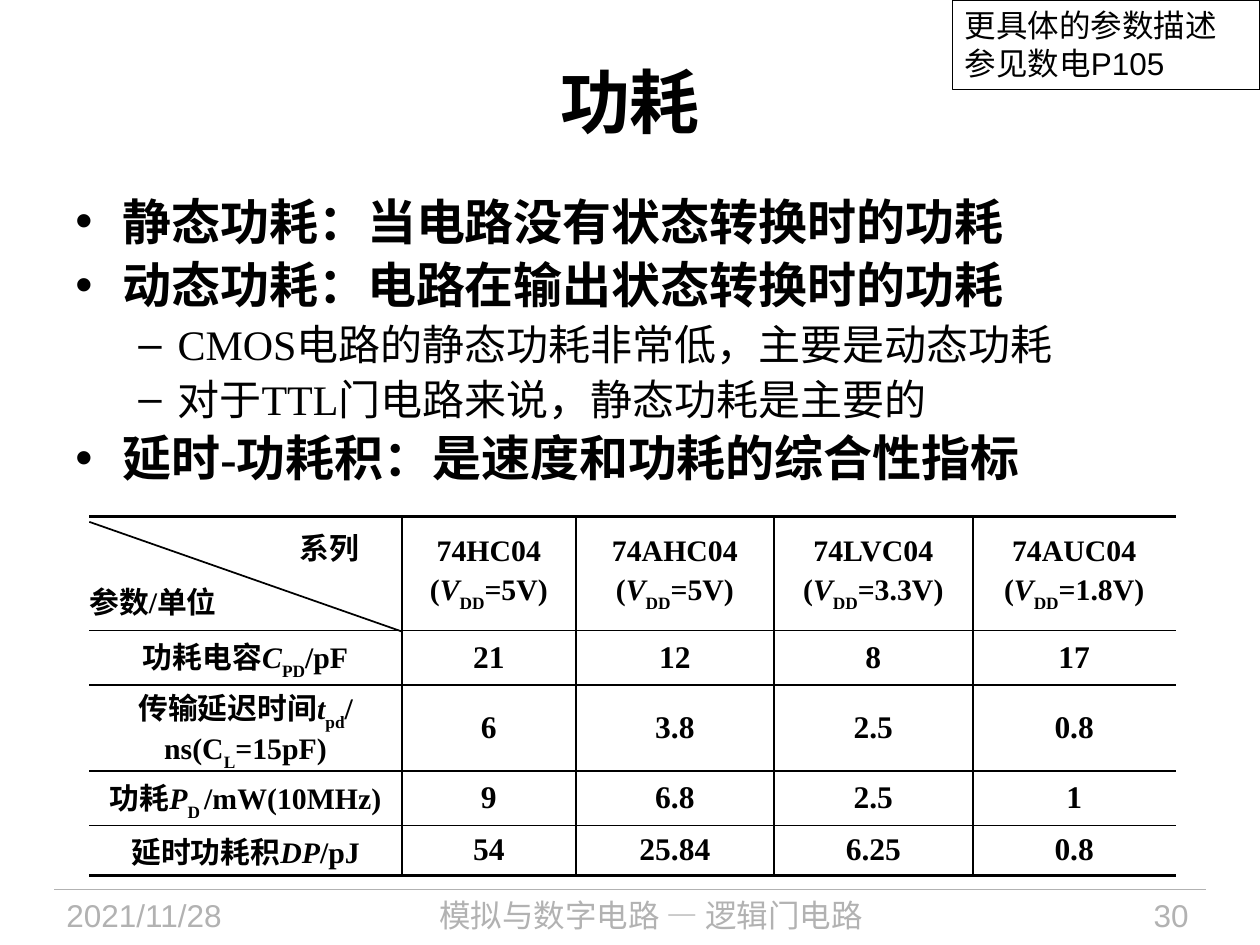
from lxml.etree import SubElement
from pptx import Presentation
from pptx.dml.color import RGBColor
from pptx.enum.shapes import MSO_CONNECTOR as Connector, MSO_SHAPE as Shape
from pptx.enum.text import MSO_ANCHOR as Anchor, PP_ALIGN as Align
from pptx.oxml.ns import qn
from pptx.util import Cm, Pt

SERIF = "Times New Roman"
SANS = "Arial"
BLACK = "000000"
GREY = "B2B2B2"
BULLETS = [("•", 0.95, -0.95, 28, True), ("–", 2.06, -0.79, 24, False)]


def color(value):
    return RGBColor.from_string(value)


def add_text(paragraph, text, size=18, font=SERIF, fill=BLACK, bold=False,
             italic=False, baseline=0):
    run = paragraph.add_run()
    run.text = text
    run.font.size = Pt(size)
    run.font.name = font
    run.font.bold = bold
    run.font.italic = italic
    run.font.color.rgb = color(fill)
    if baseline:
        run._r.get_or_add_rPr().set("baseline", str(baseline * 1000))


def symbol(letter, subscript):
    return [(letter, {"italic": True}), (subscript, {"baseline": -30})]


class SlideBuilder:
    def __init__(self, presentation):
        self.slide = presentation.slides.add_slide(presentation.slide_layouts[5])

    def title(self, text, left, top, width, height):
        shape = self.slide.shapes.title
        shape.left, shape.top = Cm(left), Cm(top)
        shape.width, shape.height = Cm(width), Cm(height)
        shape.text_frame.vertical_anchor = Anchor.MIDDLE
        paragraph = shape.text_frame.paragraphs[0]
        paragraph.alignment = Align.CENTER
        add_text(paragraph, text, size=40, bold=True)

    def text_box(self, left, top, width, height):
        shape = self.slide.shapes.add_textbox(Cm(left), Cm(top), Cm(width), Cm(height))
        shape.text_frame.word_wrap = True
        return shape.text_frame

    def label(self, text, left, top, width, height, align):
        paragraph = self.text_box(left, top, width, height).paragraphs[0]
        paragraph.alignment = align
        add_text(paragraph, text, font=SANS, fill=GREY)

    def bullets(self, items, left, top, width, height):
        frame = self.text_box(left, top, width, height)
        for index, (level, text) in enumerate(items):
            paragraph = frame.add_paragraph() if index else frame.paragraphs[0]
            mark, margin, indent, size, bold = BULLETS[level]
            paragraph.level = level
            paragraph.space_after = Pt(size / 10)
            properties = paragraph._p.get_or_add_pPr()
            properties.set("marL", str(Cm(margin)))
            properties.set("indent", str(Cm(indent)))
            SubElement(properties, qn("a:buFont"), typeface=SANS)
            SubElement(properties, qn("a:buChar"), char=mark)
            add_text(paragraph, text, size=size, bold=bold)

    def line(self, start, end, stroke, width):
        points = [Cm(value) for value in (*start, *end)]
        connector = self.slide.shapes.add_connector(Connector.STRAIGHT, *points)
        connector.line.color.rgb = color(stroke)
        connector.line.width = Pt(width)
        SubElement(connector._element.spPr, qn("a:effectLst"))

    def note(self, text, left, top, width, height):
        shape = self.slide.shapes.add_shape(
            Shape.RECTANGLE, Cm(left), Cm(top), Cm(width), Cm(height))
        shape.shadow.inherit = False
        shape.fill.background()
        shape.line.color.rgb = color(BLACK)
        shape.line.width = Pt(0.75)
        frame = shape.text_frame
        frame.word_wrap = True
        frame.vertical_anchor = Anchor.TOP
        frame.paragraphs[0].alignment = Align.LEFT
        add_text(frame.paragraphs[0], text, font=SANS)

    def borders(self, cell, widths):
        properties = cell._tc.get_or_add_tcPr()
        for side, width in zip("LRTB", widths):
            border = SubElement(properties, qn("a:ln" + side), w=str(Pt(width)))
            if width:
                fill = SubElement(border, qn("a:solidFill"))
                SubElement(fill, qn("a:srgbClr"), val=BLACK)
            else:
                SubElement(border, qn("a:noFill"))

    def cell_text(self, cell, lines, size):
        for index, runs in enumerate(lines):
            frame = cell.text_frame
            paragraph = frame.add_paragraph() if index else frame.paragraphs[0]
            paragraph.alignment = Align.CENTER
            paragraph.space_after = Pt(size / 5)
            for text, style in runs:
                add_text(paragraph, text, size=size, bold=True, **style)

    def table(self, rows, left, top, widths, heights):
        table = self.slide.shapes.add_table(
            len(heights), len(widths), Cm(left), Cm(top),
            Cm(sum(widths)), Cm(sum(heights))).table
        table.first_row = table.horz_banding = False
        for column, width in zip(table.columns, widths):
            column.width = Cm(width)
        for row, height in zip(table.rows, heights):
            row.height = Cm(height)
        last_row, last_column = len(heights) - 1, len(widths) - 1
        for row, values in enumerate(rows):
            for column, lines in enumerate(values):
                cell = table.cell(row, column)
                cell.margin_left = cell.margin_right = 0
                cell.margin_top = cell.margin_bottom = 0
                cell.vertical_anchor = Anchor.MIDDLE
                self.borders(cell, (int(column > 0), int(column < last_column),
                                    1 if row else 2, 2 if row == last_row else 1))
                cell.fill.background()
                self.cell_text(cell, lines, 18 if row and column else 17)
        return table


def plain(text):
    return [(text, {})]


def table_rows():
    series = [("74HC04", "5"), ("74AHC04", "5"), ("74LVC04", "3.3"), ("74AUC04", "1.8")]
    header = [[plain("系列"), plain("参数/单位")]]
    for name, voltage in series:
        supply = plain("(") + symbol("V", "DD") + plain(f"={voltage}V)")
        header.append([plain(name), supply])
    parameters = [
        (plain("功耗电容") + symbol("C", "PD") + plain("/pF"), "21 12 8 17"),
        (plain("传输延迟时间") + symbol("t", "pd") + plain("/ns(C")
         + [("L", {"baseline": -30})] + plain("=15pF)"), "6 3.8 2.5 0.8"),
        (plain("功耗") + symbol("P", "D ") + plain("/mW(10MHz)"), "9 6.8 2.5 1"),
        (plain("延时功耗积") + [("DP", {"italic": True})] + plain("/pJ"),
         "54 25.84 6.25 0.8"),
    ]
    return [header] + [[[name]] + [[plain(value)] for value in values.split()]
                       for name, values in parameters]


def main():
    presentation = Presentation()
    presentation.slide_width, presentation.slide_height = Cm(25.4), Cm(19.05)
    builder = SlideBuilder(presentation)
    builder.line((1.09, 17.93), (24.31, 17.93), GREY, 0.75)
    builder.label("2021/11/28", 1.09, 17.93, 4.78, 1.12, Align.LEFT)
    builder.label("模拟与数字电路 — 逻辑门电路", 6.32, 17.93, 13.61, 1.12, Align.CENTER)
    builder.label("30", 20.83, 17.93, 3.38, 1.12, Align.RIGHT)
    builder.title("功耗", 1.27, 0.43, 22.86, 3.18)
    builder.bullets([
        (0, "静态功耗：当电路没有状态转换时的功耗"),
        (0, "动态功耗：电路在输出状态转换时的功耗"),
        (1, "CMOS电路的静态功耗非常低，主要是动态功耗"),
        (1, "对于TTL门电路来说，静态功耗是主要的"),
        (0, "延时-功耗积：是速度和功耗的综合性指标"),
    ], 1.27, 3.73, 22.86, 6.5)
    table = builder.table(table_rows(), 1.8, 10.42, [6.3, 3.51, 3.99, 4.01, 4.09],
                          [2.29, 1.1, 1.73, 1.1, 1])
    corner = table.cell(0, 0)
    corner.margin_right = Cm(0.86)
    series, parameter = corner.text_frame.paragraphs
    series.alignment, parameter.alignment = Align.RIGHT, Align.LEFT
    series.space_after = Pt(6)
    builder.line((1.8, 10.52), (8.1, 12.73), BLACK, 1)
    builder.note("更具体的参数描述参见数电P105", 19.2, 0, 6.2, 1.8)
    presentation.save("out.pptx")


if __name__ == "__main__":
    main()
